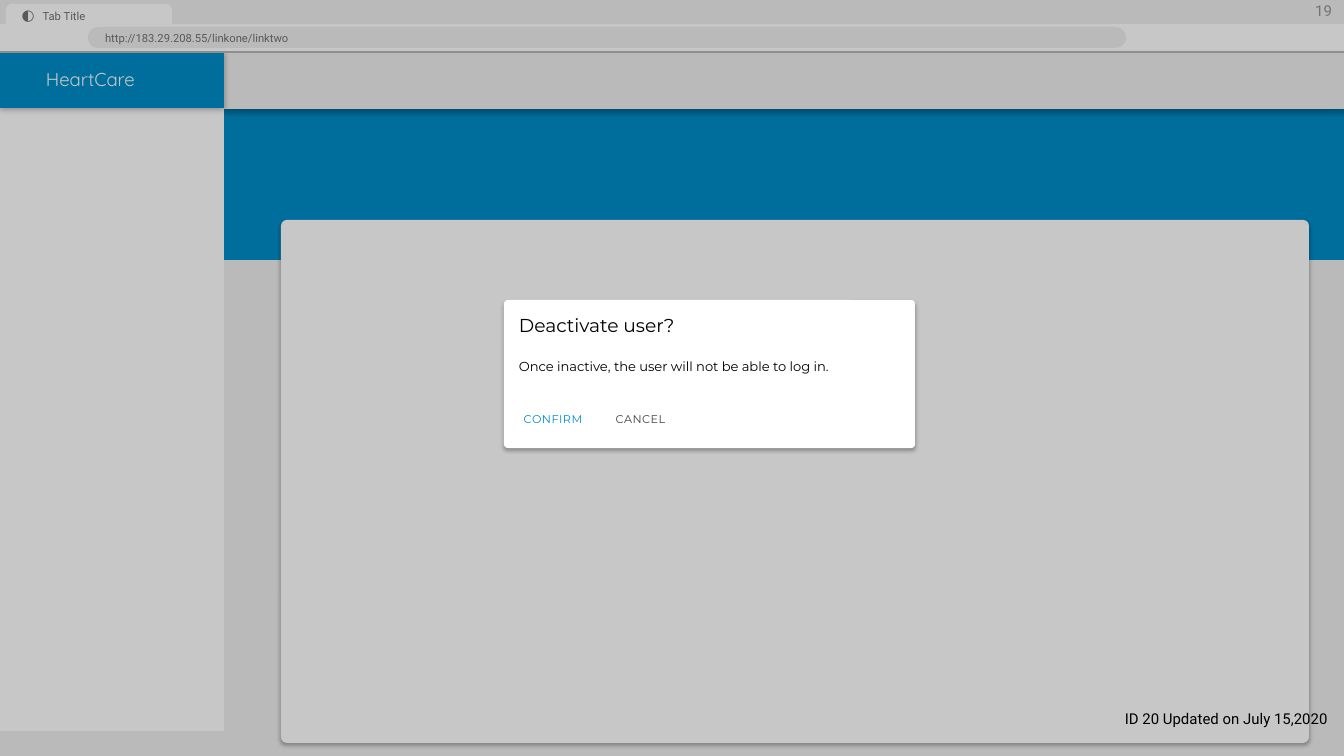
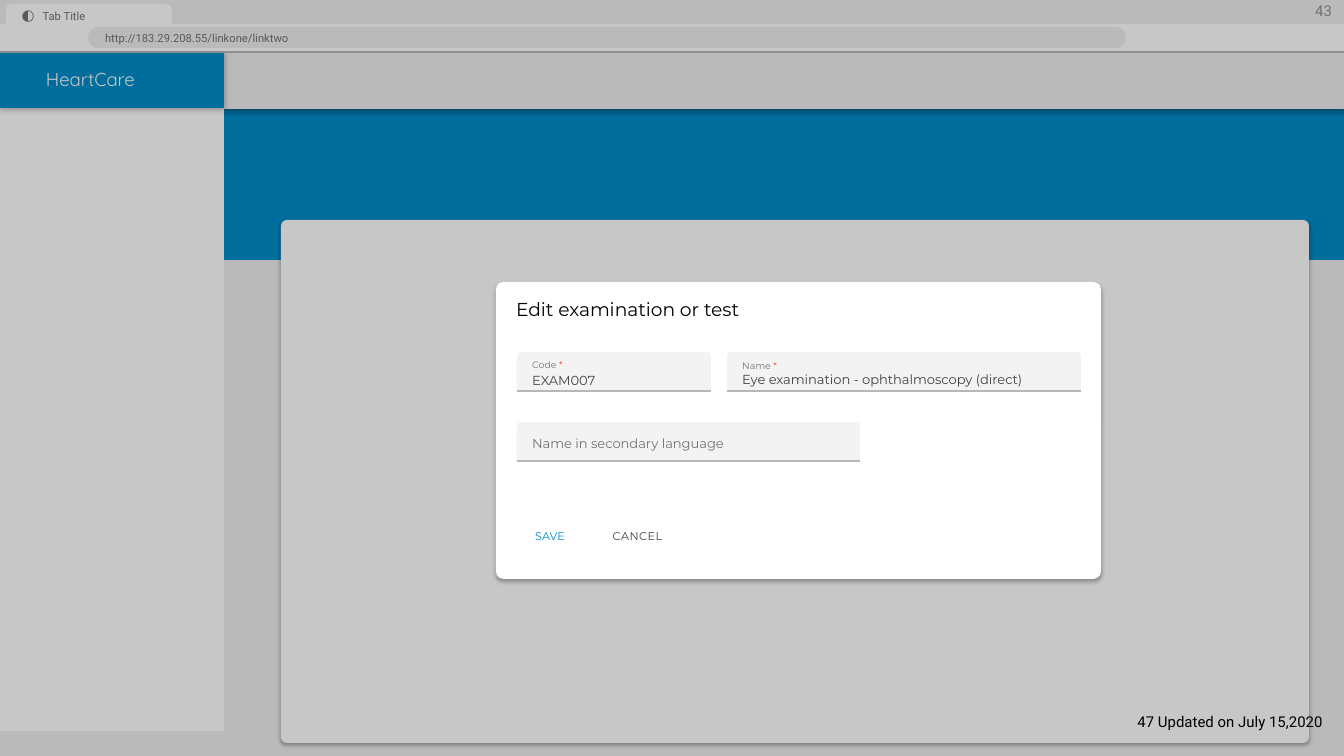
from lxml.etree import SubElement
from pptx import Presentation
from pptx.dml.color import RGBColor
from pptx.enum.shapes import MSO_CONNECTOR, MSO_SHAPE
from pptx.enum.text import MSO_ANCHOR, MSO_AUTO_SIZE, PP_ALIGN
from pptx.oxml.ns import qn
from pptx.util import Pt

PX = 914400 / 134.4
WIDTH, HEIGHT = 1344, 756
INSET = 14
COLORS = {
    "page": "EFEFEF", "white": "FFFFFF", "black": "000000", "blue": "008DC9",
    "grey": "737373", "dark": "424242", "rule": "B7B7B7", "field": "F3F3F3",
    "required": "F44336",
}
RECT, ROUND = MSO_SHAPE.RECTANGLE, MSO_SHAPE.ROUNDED_RECTANGLE
TOP_ROUND = MSO_SHAPE.ROUND_2_SAME_RECTANGLE
TEXT = "text box"
# Blur and distance in points
BAR_SHADOW, CARD_SHADOW = (3.4, 0.8), (2.2, 1.5)


def add_part(slide, kind, box, fill=None, adjust=None, shadow=None, lines=(),
             align=PP_ALIGN.LEFT, anchor=MSO_ANCHOR.MIDDLE, inset=INSET):
    """Add a shape or text box; lines hold runs of (text, size, font, color)."""
    place = [round(value * PX) for value in box]
    if kind == TEXT:
        part = slide.shapes.add_textbox(*place)
    else:
        part = slide.shapes.add_shape(kind, *place)
        part.shadow.inherit = False
        part.line.fill.background()
        if fill:
            part.fill.solid()
            part.fill.fore_color.rgb = RGBColor.from_string(COLORS[fill])
        else:
            part.fill.background()
        if adjust is not None:
            part.adjustments[0] = adjust
    if shadow:
        effects = part._element.spPr.find(qn("a:effectLst"))
        outer = SubElement(effects, qn("a:outerShdw"), blurRad=str(Pt(shadow[0])),
                           dist=str(Pt(shadow[1])), dir="5400000", algn="bl",
                           rotWithShape="0")
        tint = SubElement(outer, qn("a:srgbClr"), val=COLORS["black"])
        SubElement(tint, qn("a:alpha"), val="30000")

    frame = part.text_frame
    frame.word_wrap = True
    frame.vertical_anchor = anchor
    frame.margin_left = frame.margin_right = round(inset * PX)
    frame.margin_top = frame.margin_bottom = round(inset * PX)
    for index, line in enumerate(lines):
        paragraph = frame.add_paragraph() if index else frame.paragraphs[0]
        paragraph.alignment = align
        for text, size, font, color in line:
            run = paragraph.add_run()
            run.text = text
            run.font.size = Pt(size)
            run.font.name = font
            run.font.color.rgb = RGBColor.from_string(COLORS[color])
    return part


def add_rule(slide, left, right, top):
    rule = slide.shapes.add_connector(
        MSO_CONNECTOR.STRAIGHT, *[round(v * PX) for v in (left, top, right, top)])
    rule.line.color.rgb = RGBColor.from_string(COLORS["rule"])
    rule.line.width = Pt(0.75)
    SubElement(rule._element.spPr, qn("a:effectLst"))


# Content of the two screens
screens = [
    {
        "number": "19",
        "dialog": (504, 300, 411, 148),
        "title": ("Deactivate user?", 519, 314),
        "message": "Once inactive, the user will not be able to log in.",
        "buttons": [("C O N F I R M", 514, 78, "blue"), ("C A N C E L", 604, 73, "dark")],
        "button_top": 405,
        "fields": [],
        "note": ("ID 20 Updated on July 15,2020", 1342, 701),
    },
    {
        "number": "43",
        "dialog": (496, 282, 605, 297),
        "title": ("Edit examination or test", 516, 298),
        "message": None,
        "buttons": [("SAVE", 511, 78, "blue"), ("C A N C E L", 601, 73, "dark")],
        "button_top": 522,
        # Label, value, left, top, width, line spacing of the value
        "fields": [
            ("Code ", "EXAM007", 517, 352, 194, 1.15),
            ("Name ", "Eye examination - ophthalmoscopy (direct)", 727, 352, 354, 1),
            (None, "Name in secondary language", 517, 422, 343, 1.15),
        ],
        "note": ("47 Updated on July 15,2020", 1337, 704),
    },
]

prs = Presentation()
prs.slide_width, prs.slide_height = round(WIDTH * PX), round(HEIGHT * PX)
background = prs.slide_master.background.fill
background.solid()
background.fore_color.rgb = RGBColor.from_string(COLORS["page"])

for screen in screens:
    slide = prs.slides.add_slide(prs.slide_layouts[5])

    # Application frame
    add_part(slide, RECT, (215, 75, WIDTH - 215, 185), "blue")
    add_part(slide, ROUND, (281, 220, 1028, 523), "white", 0.011, CARD_SHADOW)
    add_part(slide, RECT, (224, 52, WIDTH - 224, 57), "page", shadow=BAR_SHADOW)
    add_part(slide, RECT, (0, 52, 224, 679), "white")
    add_part(slide, RECT, (0, 51, 224, 57), "blue", shadow=BAR_SHADOW)

    # Browser bar
    add_part(slide, RECT, (0, 24, WIDTH, 28), "white")
    tab = add_part(slide, TOP_ROUND, (6, 4, 166, 33), "white", 0.167,
                   lines=[[("◐", 8, "Roboto", "grey"),
                           ("\tTab Title", 6, "Roboto", "grey")]],
                   anchor=MSO_ANCHOR.BOTTOM)
    tab_stops = SubElement(tab.text_frame.paragraphs[0]._p.get_or_add_pPr(),
                           qn("a:tabLst"))
    SubElement(tab_stops, qn("a:tab"), pos=str(round(21 * PX)), algn="l")
    add_part(slide, ROUND, (88, 27, 1038, 21), "page", 0.5,
             lines=[[("http://183.29.208.55/linkone/linktwo", 6, "Roboto", "grey")]])
    add_rule(slide, 0, WIDTH, 52)
    add_part(slide, TEXT, (46, 52, 134, 54), align=PP_ALIGN.JUSTIFY, inset=0,
             lines=[[("HeartCare", 10, "Quicksand", "white")]])

    # Dimming layer
    dimmer = add_part(slide, RECT, (0, 0, WIDTH, HEIGHT), "black")
    dim_color = dimmer._element.spPr.find(qn("a:solidFill")).find(qn("a:srgbClr"))
    SubElement(dim_color, qn("a:alpha"), val="22000")
    add_part(slide, TEXT, (1265, 0, 81, 22), align=PP_ALIGN.RIGHT,
             lines=[[(screen["number"], 8, "Roboto", "grey")]])

    # Dialog with its title
    add_part(slide, ROUND, screen["dialog"], "white", 0.025, CARD_SHADOW)
    heading, left, top = screen["title"]
    title = slide.shapes.title
    title.left, title.top = round(left * PX), round(top * PX)
    title.width, title.height = round(380 * PX), round(24 * PX)
    slide.shapes._spTree.append(title._element)
    frame = title.text_frame
    frame.auto_size = MSO_AUTO_SIZE.NONE
    frame.vertical_anchor = MSO_ANCHOR.TOP
    frame.margin_left = frame.margin_right = frame.margin_top = frame.margin_bottom = 0
    frame.paragraphs[0].alignment = PP_ALIGN.LEFT
    run = frame.paragraphs[0].add_run()
    run.text = heading
    run.font.size = Pt(10)
    run.font.name = "Montserrat"
    run.font.color.rgb = RGBColor.from_string(COLORS["black"])
    if screen["message"]:
        add_part(slide, TEXT, (left, 358, 380, 18), anchor=MSO_ANCHOR.TOP, inset=0,
                 lines=[[(screen["message"], 7, "Montserrat", "black")]])

    # Buttons; thin spaces track the letters, an unspaced caption is one run
    for caption, left, width, color in screen["buttons"]:
        letters = caption if " " in caption else [caption]
        add_part(slide, ROUND, (left, screen["button_top"], width, 28),
                 adjust=0.087, align=PP_ALIGN.CENTER, inset=0,
                 lines=[[(letter, 1 if letter == " " else 6, "Montserrat", color)
                         for letter in letters]])

    # Form fields
    for label, value, left, top, width, spacing in screen["fields"]:
        lines = [[(value, 7, "Montserrat", "dark" if label else "grey")]]
        if label:
            lines.insert(0, [(label, 5, "Montserrat", "grey"),
                             ("*", 5, "Montserrat", "required")])
        field = add_part(slide, TOP_ROUND, (left, top, width, 40), "field", 0.106,
                         lines=lines)
        paragraphs = field.text_frame.paragraphs
        paragraphs[0].line_spacing = 1.15
        paragraphs[-1].line_spacing = spacing
        add_rule(slide, left, left + width, top + 39)

    # Update note
    note, right, top = screen["note"]
    add_part(slide, TEXT, (right - 400, top, 400, 40), align=PP_ALIGN.RIGHT,
             anchor=MSO_ANCHOR.TOP, lines=[[(note, 8, "Roboto", "black")]])

prs.save("out.pptx")
